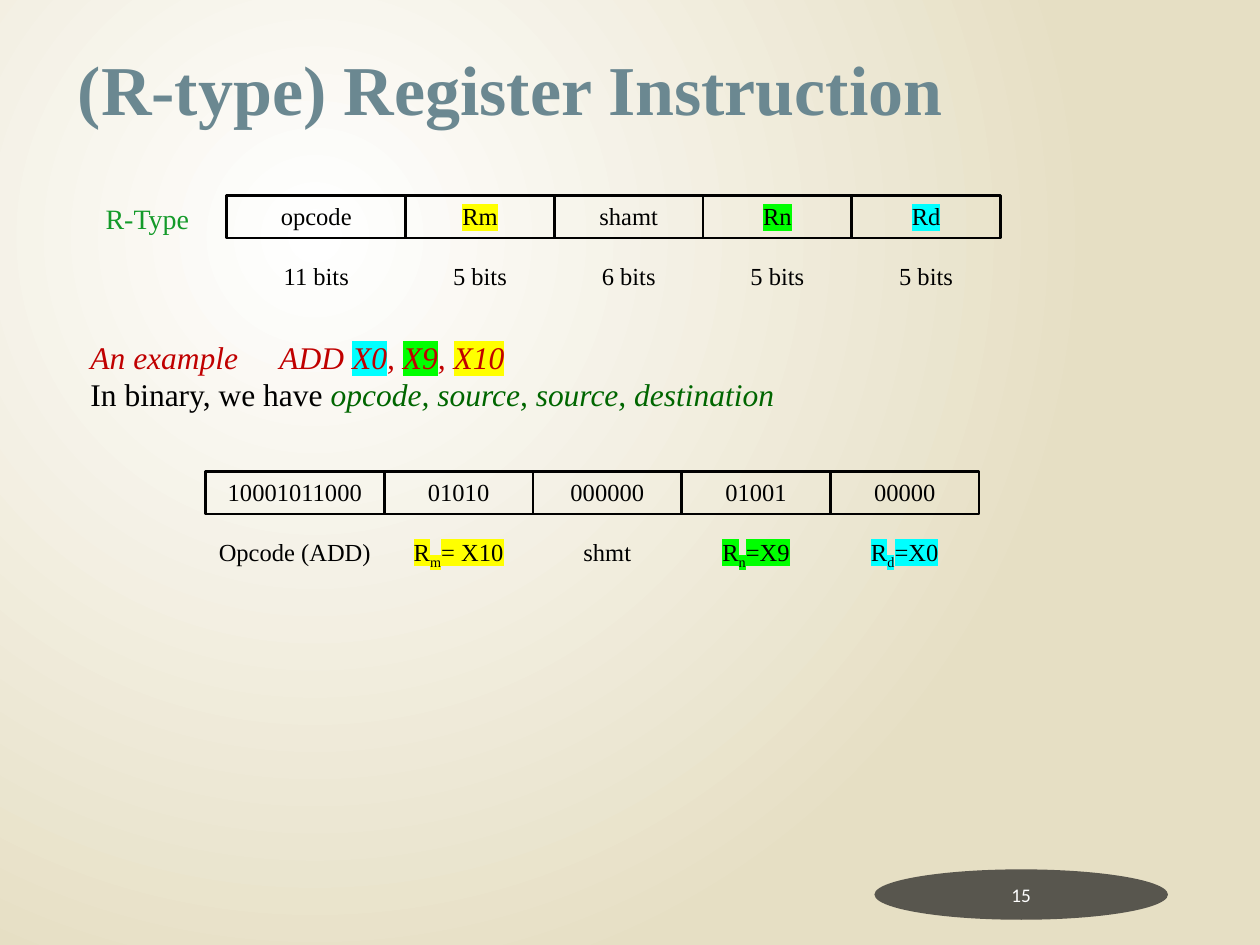
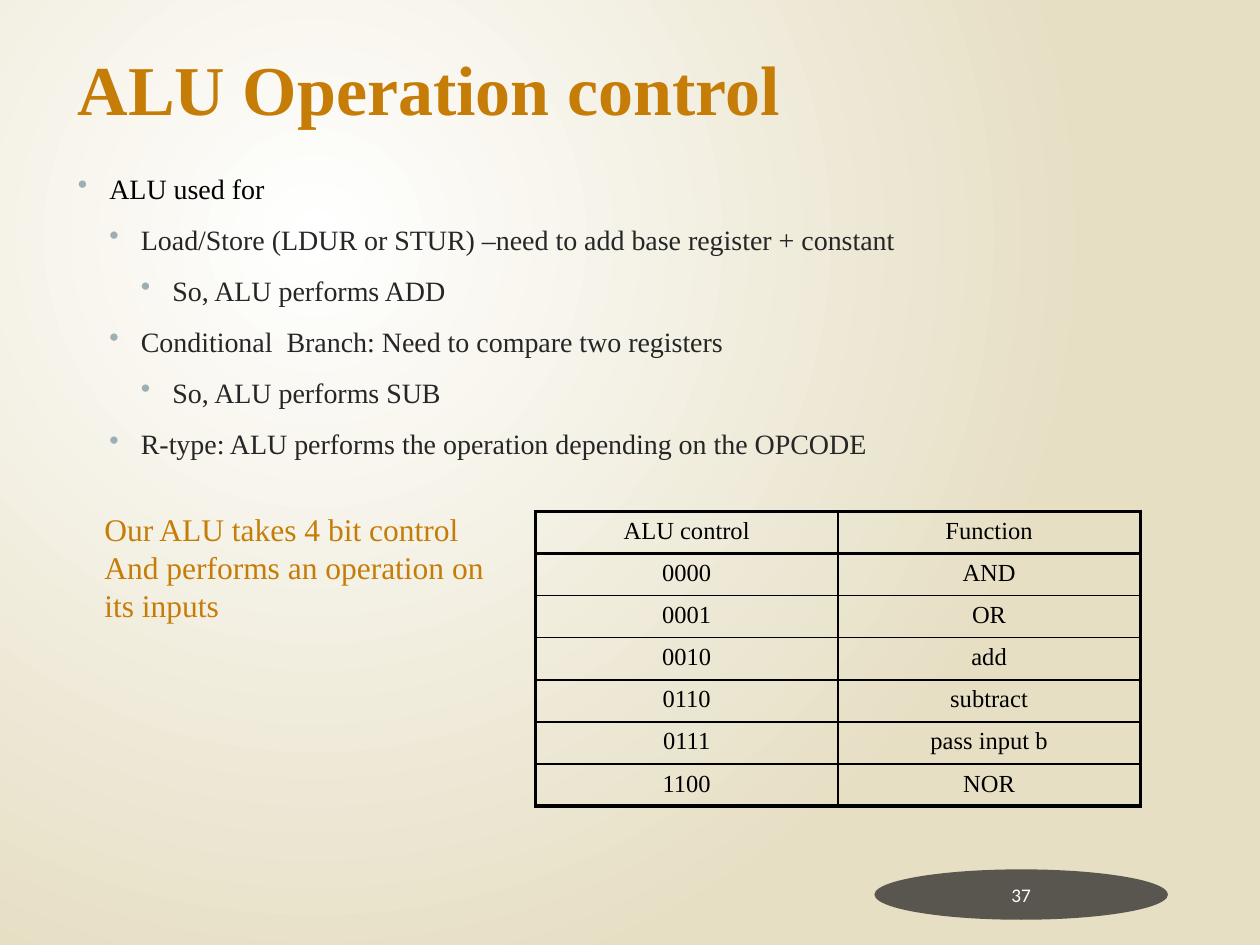
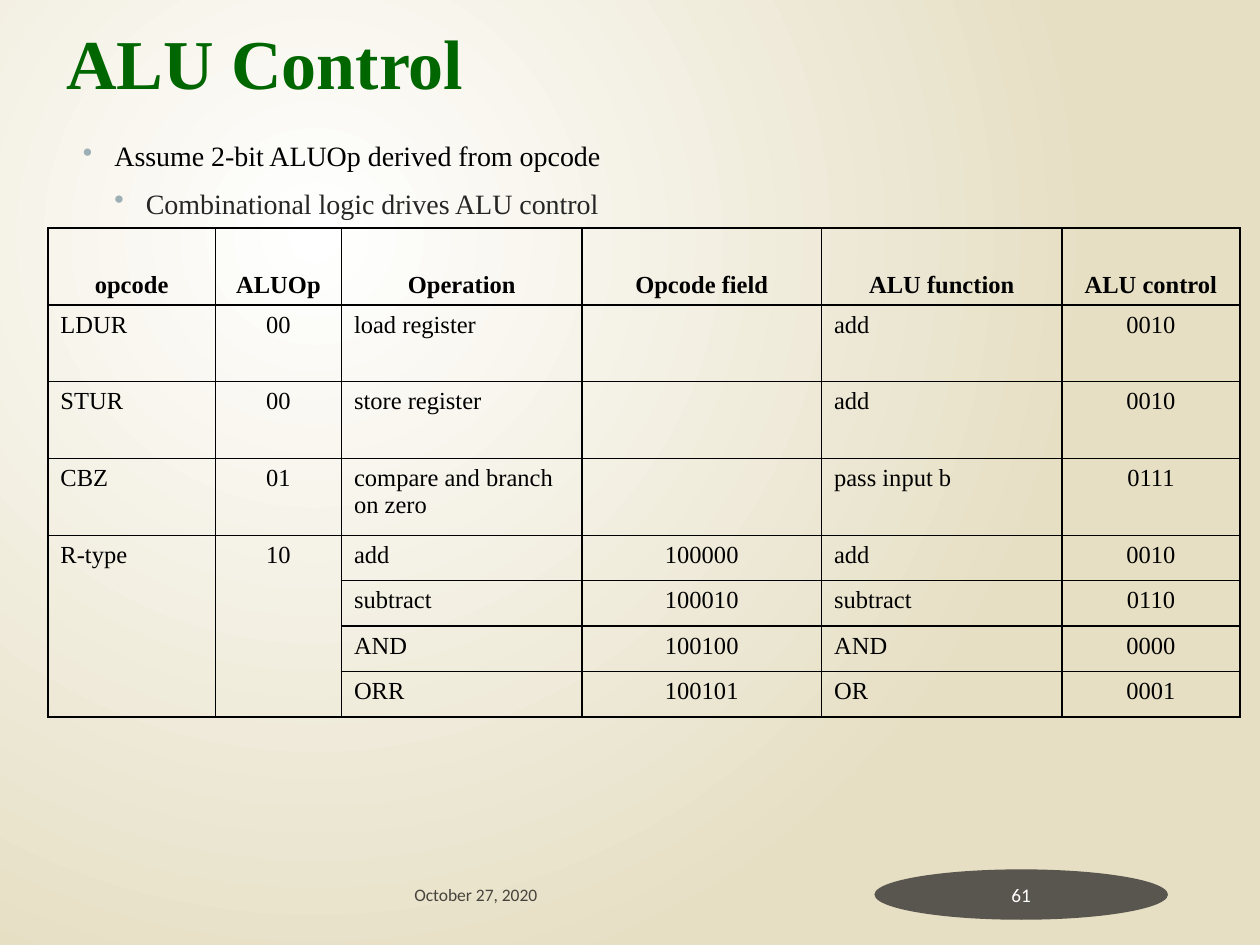
"""Build three slides on register instructions and ALU control."""
from lxml import etree
from pptx import Presentation
from pptx.dml.color import RGBColor
from pptx.enum.shapes import MSO_SHAPE
from pptx.enum.text import MSO_ANCHOR, MSO_AUTO_SIZE, PP_ALIGN
from pptx.oxml.ns import qn
from pptx.util import Inches, Pt

SERIF, SANS = "Times New Roman", "Calibri"
BLACK = RGBColor(0x00, 0x00, 0x00)
WHITE = RGBColor(0xFF, 0xFF, 0xFF)
SAND = RGBColor(0xE6, 0xDF, 0xC4)
CHARCOAL = RGBColor(0x1D, 0x1D, 0x1D)
GRAPHITE = RGBColor(0x26, 0x26, 0x26)
SLATE = RGBColor(0x6B, 0x88, 0x91)
BULLET = RGBColor(0x9B, 0xAF, 0xB5)
ORANGE = RGBColor(0xC6, 0x7D, 0x08)
RED = RGBColor(0xC0, 0x00, 0x00)
GREEN = RGBColor(0x13, 0x9A, 0x29)
DARK_GREEN = RGBColor(0x00, 0x66, 0x00)
YELLOW = RGBColor(0xFF, 0xFF, 0x00)
LIME = RGBColor(0x00, 0xFF, 0x00)
CYAN = RGBColor(0x00, 0xFF, 0xFF)
ALIGN = {"l": PP_ALIGN.LEFT, "c": PP_ALIGN.CENTER}
FIELD_WIDTHS = [1.42, 1.18, 1.18, 1.18, 1.18]
FIELD_HEIGHT = 0.34


def add_xml(parent, tag, **attrs):
    """Append a DrawingML child and return it."""
    return etree.SubElement(parent, qn(tag), attrs)


def add_color(parent, color):
    """Append an RGB colour element."""
    return add_xml(parent, "a:srgbClr", val=str(color))


def make_translucent(sp, percent=70):
    """Give every colour set so far in a shape this opacity."""
    for clr in list(sp.element.iter(qn("a:srgbClr"))):
        add_xml(clr, "a:alpha", val=str(percent * 1000))


def set_background(prs):
    """Put the radial gradient on the master."""
    master = prs.slide_master
    fill = master.background.fill
    fill.gradient()
    for stop, color, position in zip(fill.gradient_stops, (WHITE, SAND), (0, 1)):
        stop.color.rgb = color
        stop.position = position
    grad = next(master.element.iter(qn("a:gradFill")))
    grad.remove(grad.find(qn("a:lin")))
    circle = add_xml(grad, "a:path", path="circle")
    add_xml(circle, "a:fillToRect", l="50000", t="50000", r="100000", b="100000")


def style(p, size, color=BLACK, align="l", font=SERIF, bold=False, italic=False):
    """Set the font and alignment of a paragraph."""
    p.alignment = ALIGN[align]
    f = p.font
    f.name, f.size, f.bold, f.italic = font, Pt(size), bold, italic
    f.color.rgb = color


def add_run(p, text, highlight=None, subscript=False):
    """Add a run with an optional highlight or subscript."""
    r = p.add_run()
    r.text = text
    rPr = r._r.get_or_add_rPr()
    if subscript:
        rPr.set("baseline", "-25000")
    if highlight is not None:
        add_color(add_xml(rPr, "a:highlight"), highlight)
    return r


def add_text(s, box, lines=(), size=14, wrap=True, grow=False, **look):
    """Add a text box with one paragraph per line."""
    sp = s.shapes.add_textbox(*map(Inches, box))
    tf = sp.text_frame
    tf.word_wrap = wrap
    tf.auto_size = MSO_AUTO_SIZE.SHAPE_TO_FIT_TEXT if grow else MSO_AUTO_SIZE.NONE
    for i, line in enumerate(lines):
        p = tf.add_paragraph() if i else tf.paragraphs[0]
        p.text = line
        style(p, size, **look)
    return sp


def add_title(s, text, color, left=0.52, top=0.31):
    """Add the slide title."""
    add_text(s, (left, top, 9.03, 0.83), [text], 40, color=color, bold=True)


def add_number(s, number):
    """Add the oval slide number badge."""
    sp = s.shapes.add_shape(MSO_SHAPE.OVAL, *map(Inches, (6.94, 6.9, 2.33, 0.4)))
    sp.shadow.inherit = False
    sp.fill.solid()
    sp.fill.fore_color.rgb = CHARCOAL
    sp.line.fill.background()
    make_translucent(sp)
    tf = sp.text_frame
    tf.margin_left = tf.margin_right = Inches(0.02)
    tf.vertical_anchor = MSO_ANCHOR.MIDDLE
    p = tf.paragraphs[0]
    p.text = str(number)
    style(p, 11, WHITE, "c", SANS)


def add_date(s, text):
    """Add the footer date."""
    sp = add_text(s, (3.19, 6.9, 3.17, 0.4), [text], 10, font=SANS)
    sp.text_frame.vertical_anchor = MSO_ANCHOR.MIDDLE
    make_translucent(sp)


def add_bullets(s, box, items, line_spacing=1.0):
    """Add a bulleted list of (level, text) items."""
    tf = add_text(s, box).text_frame
    for i, (level, text) in enumerate(items):
        p = tf.add_paragraph() if i else tf.paragraphs[0]
        p.text = text
        pPr = p._p.get_or_add_pPr()
        pPr.set("marL", str(Inches(0.25 * (level + 1))))
        pPr.set("indent", str(Inches(-0.25)))
        add_color(add_xml(pPr, "a:buClr"), BULLET)
        add_xml(pPr, "a:buChar", char="•")
        p.level = level
        p.space_before = Pt(10)
        p.line_spacing = line_spacing
        style(p, 16, GRAPHITE if level else BLACK)


def add_field(s, box, runs):
    """Add one outlined instruction field."""
    sp = s.shapes.add_shape(MSO_SHAPE.RECTANGLE, *map(Inches, box))
    sp.shadow.inherit = False
    sp.fill.background()
    sp.line.color.rgb = BLACK
    sp.line.width = Pt(1.5)
    sp.text_frame.vertical_anchor = MSO_ANCHOR.TOP
    p = sp.text_frame.paragraphs[0]
    style(p, 14, align="c")
    for run in runs:
        add_run(p, *run)


def add_format(s, left, top, fields):
    """Add a row of fields, each with a label of a given width below."""
    for width, (runs, label, label_width) in zip(FIELD_WIDTHS, fields):
        add_field(s, (left, top, width, FIELD_HEIGHT), runs)
        label_left = left + (width - label_width) / 2
        box = (label_left, top + 0.47, label_width, FIELD_HEIGHT)
        p = add_text(s, box, wrap=False, grow=True).text_frame.paragraphs[0]
        style(p, 14, align="c")
        for run in label:
            add_run(p, *run)
        left += width


def register(letter, value, color):
    """Return the runs of a highlighted register with its subscript."""
    return [("R", color), (letter, color, True), (value, color)]


def set_borders(cell, widths):
    """Draw the left, right, top and bottom borders of a cell."""
    tcPr = cell._tc.get_or_add_tcPr()
    for side, width in zip("LRTB", widths):
        ln = add_xml(tcPr, f"a:ln{side}", w=str(Pt(width)))
        add_color(add_xml(ln, "a:solidFill"), BLACK)


def add_grid(s, left, top, widths, heights, rows, aligns,
             outer=1, under_header=1, strong_header=False):
    """Add a ruled table without fills and return it."""
    box = (left, top, sum(widths), sum(heights))
    table = s.shapes.add_table(len(rows), len(widths), *map(Inches, box)).table
    table.first_row = table.horz_banding = False
    for column, width in zip(table.columns, widths):
        column.width = Inches(width)
    for row, height in zip(table.rows, heights):
        row.height = Inches(height)
    across = [outer] + [1] * (len(widths) - 1) + [outer]
    down = [outer, under_header] + [1] * (len(rows) - 2) + [outer]
    for i, row in enumerate(rows):
        header = strong_header and i == 0
        for j, text in enumerate(row):
            cell = table.cell(i, j)
            set_borders(cell, across[j:j + 2] + down[i:i + 2])
            cell.fill.background()
            cell.vertical_anchor = MSO_ANCHOR.BOTTOM if header else MSO_ANCHOR.TOP
            p = cell.text_frame.paragraphs[0]
            p.text = text
            style(p, 14, align="c" if header else aligns[j], bold=header)
    return table


def add_example(s):
    """Add the sample instruction and its explanation."""
    tf = add_text(s, (0.62, 2.63, 8.9, 0.71), grow=True).text_frame
    p = tf.paragraphs[0]
    style(p, 18, RED, italic=True)
    for run in [("An example\tADD ",), ("X0", CYAN), (", ",), ("X9", LIME),
                (", ",), ("X10", YELLOW)]:
        add_run(p, *run)
    p = tf.add_paragraph()
    style(p, 18)
    add_run(p, "In binary, we have ")
    r = add_run(p, "opcode, source, source, destination")
    r.font.italic = True
    r.font.color.rgb = DARK_GREEN


def build_r_type(s):
    """Build the R-type instruction slide."""
    add_number(s, 15)
    add_title(s, "(R-type) Register Instruction", SLATE)
    add_format(s, 1.8, 1.55, [
        ([("opcode",)], [("11 bits",)], 0.72),
        ([("Rm", YELLOW)], [("5 bits",)], 0.63),
        ([("shamt",)], [("6 bits",)], 0.63),
        ([("Rn", LIME)], [("5 bits",)], 0.63),
        ([("Rd", CYAN)], [("5 bits",)], 0.63),
    ])
    add_text(s, (0.74, 1.55, 2, 0.37), ["R-Type"], 16, grow=True, color=GREEN)
    add_example(s)
    add_format(s, 1.63, 3.74, [
        ([("10001011000",)], [("Opcode (ADD)",)], 1.42),
        ([("01010",)], register("m", "= X10", YELLOW), 0.93),
        ([("000000",)], [("shmt",)], 0.58),
        ([("01001",)], register("n", "=X9", LIME), 0.75),
        ([("00000",)], register("d", "=X0", CYAN), 0.75),
    ])


def build_alu_operation(s):
    """Build the ALU operation slide."""
    add_number(s, 37)
    add_bullets(s, (0.52, 1.31, 9.03, 2.17), [
        (0, "ALU used for"),
        (1, "Load/Store (LDUR or STUR) –need to add base register + constant"),
        (2, "So, ALU performs ADD"),
        (1, "Conditional  Branch: Need to compare two registers"),
        (2, "So, ALU performs SUB"),
        (1, "R-type: ALU performs the operation depending on the OPCODE"),
    ])
    add_title(s, "ALU Operation control", ORANGE)
    add_grid(s, 4.25, 4.06, [2.4] * 2, [0.3] * 7, [
        ("ALU control", "Function"),
        ("0000", "AND"),
        ("0001", "OR"),
        ("0010", "add"),
        ("0110", "subtract"),
        ("0111", "pass input b"),
        ("1100", "NOR"),
    ], "cc", outer=2.25, under_header=1.5)
    add_text(s, (0.73, 4, 3.39, 1.01), [
        "Our ALU takes 4 bit control",
        "And performs an operation on its inputs",
    ], 18, grow=True, color=ORANGE)


def build_alu_control(s):
    """Build the ALU control slide."""
    add_date(s, "October 27, 2020")
    add_number(s, 61)
    add_bullets(s, (0.56, 1.08, 9.03, 0.75), [
        (0, "Assume 2-bit ALUOp derived from opcode"),
        (1, "Combinational logic drives ALU control"),
    ], 0.9)
    add_title(s, "ALU Control", DARK_GREEN, 0.43, 0.11)
    table = add_grid(
        s, 0.38, 1.81, [1.33, 1, 1.91, 1.9, 1.91, 1.41],
        [0.61] * 4 + [0.36] * 4, [
            ("opcode", "ALUOp", "Operation", "Opcode field", "ALU function", "ALU control"),
            ("LDUR", "00", "load register", "", "add", "0010"),
            ("STUR", "00", "store register", "", "add", "0010"),
            ("CBZ", "01", "compare and branch on zero", "", "pass input b", "0111"),
            ("R-type", "10", "add", "100000", "add", "0010"),
            ("", "", "subtract", "100010", "subtract", "0110"),
            ("", "", "AND", "100100", "AND", "0000"),
            ("", "", "ORR", "100101", "OR", "0001"),
        ], "lclclc", strong_header=True)
    for column in (0, 1):
        table.cell(4, column).merge(table.cell(7, column))


def main():
    """Build and save the presentation."""
    prs = Presentation()
    prs.slide_width, prs.slide_height = Inches(10), Inches(7.5)
    set_background(prs)
    for build in (build_r_type, build_alu_operation, build_alu_control):
        build(prs.slides.add_slide(prs.slide_layouts[6]))
    prs.save("out.pptx")


if __name__ == "__main__":
    main()
